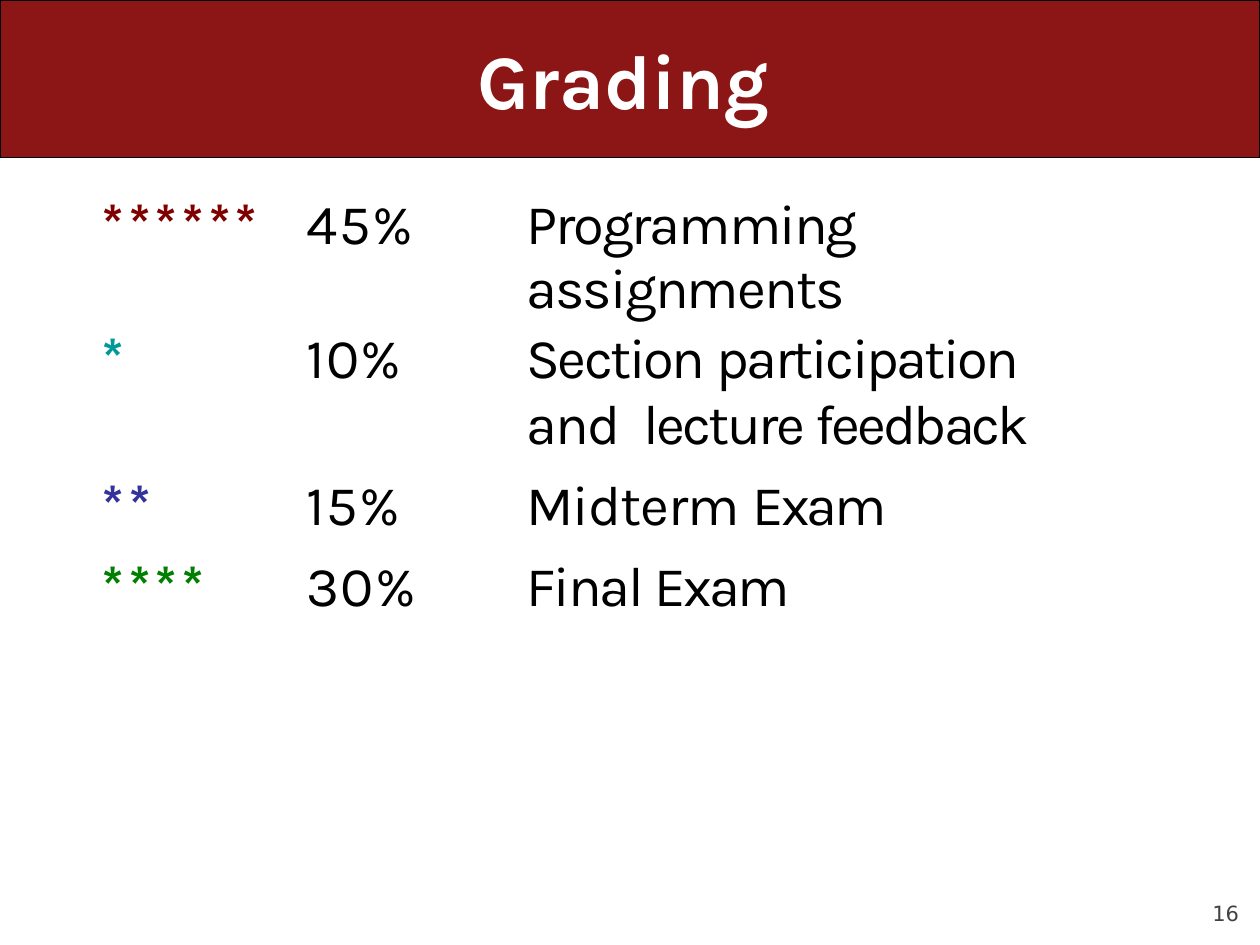
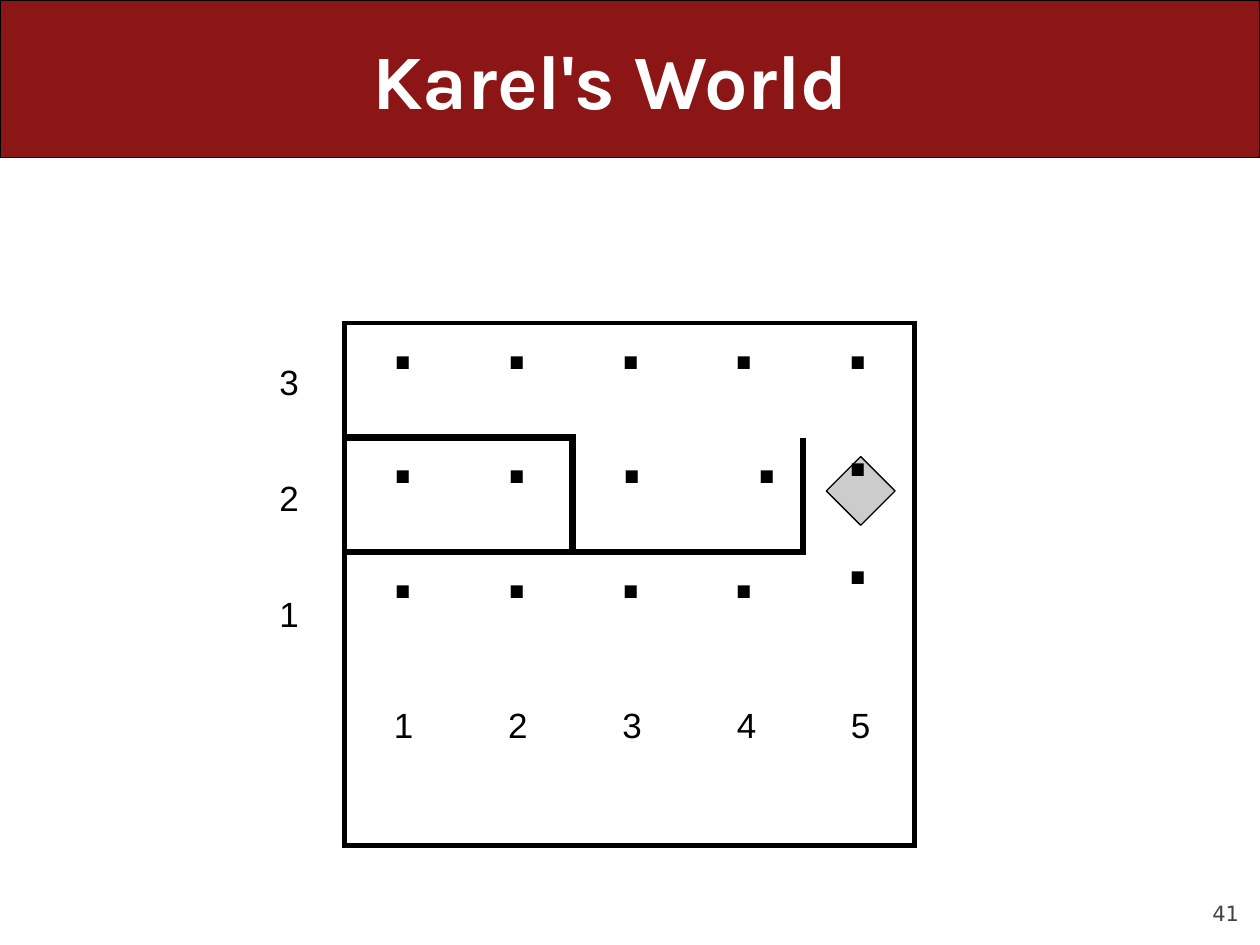
"""Build the grading slide and the Karel's World slide."""
from lxml import etree
from pptx import Presentation
from pptx.dml.color import RGBColor
from pptx.enum.shapes import MSO_SHAPE
from pptx.enum.text import MSO_ANCHOR, MSO_AUTO_SIZE, PP_ALIGN
from pptx.oxml.ns import qn
from pptx.util import Pt

RECT, GEM = MSO_SHAPE.RECTANGLE, MSO_SHAPE.DIAMOND
TOP, FIXED = MSO_ANCHOR.TOP, MSO_AUTO_SIZE.NONE
LEFT, MID = PP_ALIGN.LEFT, PP_ALIGN.CENTER
RED = RGBColor(0x8C, 0x15, 0x15)
WHITE = RGBColor(0xFF, 0xFF, 0xFF)
BLACK = RGBColor(0, 0, 0)
DARK = RGBColor(0x42, 0x42, 0x42)
SILVER = RGBColor(0xCC, 0xCC, 0xCC)
MAROON = RGBColor(0x80, 0, 0)
TEAL = RGBColor(0, 0x99, 0x99)
NAVY = RGBColor(0x33, 0x33, 0x99)
GREEN = RGBColor(0, 0x80, 0)

HEAD = {"name": "Karla", "size": Pt(44), "bold": True}
BODY = {"name": "Karla", "size": Pt(32), "bold": False}
STAR = {**BODY, "bold": True}
LABEL = {"name": "Arial", "size": Pt(20)}
DOT = {"name": "Arial", "size": Pt(48.5), "bold": True}
PAGE = {"name": "DejaVu Sans", "size": Pt(12)}
FRAME = {"margin_left": Pt(1.2), "margin_right": 0, "margin_top": Pt(1),
         "margin_bottom": 0, "vertical_anchor": TOP, "auto_size": FIXED,
         "word_wrap": False}
PLAIN = "{2D5ABB26-0587-4C30-8999-92F81FD0307C}"


def write(para, text, look, tint=BLACK, gap=0):
    """Add a run with its font, colour and letter spacing."""
    run = para.add_run()
    run.text = text
    for key, value in look.items():
        setattr(run.font, key, value)
    run.font.color.rgb = tint
    if gap:
        run._r.get_or_add_rPr().set("spc", str(round(gap * 100)))


def label(slide, spot, lines, look, tint=BLACK, lead=0):
    """Add a text box with one paragraph for each line."""
    frame = slide.shapes.add_textbox(*map(Pt, spot)).text_frame
    for key, value in FRAME.items():
        setattr(frame, key, value)
    for i, line in enumerate(lines):
        para = frame.add_paragraph() if i else frame.paragraphs[0]
        if i:
            para.space_before = Pt(lead)
        write(para, line, look, tint)


deck = Presentation()
deck.slide_width, deck.slide_height = Pt(720), Pt(540)
layout = deck.slide_layouts[5]

slides = []
for text, left, width, page in (("Grading", 271.5, 177, "16"),
                                ("Karel's World", 211.5, 297.5, "41")):
    slide = deck.slides.add_slide(layout)
    slides.append(slide)
    title = slide.shapes.title
    title.left, title.top = Pt(left), Pt(17.6)
    title.width, title.height = Pt(width), Pt(54.5)
    for key, value in FRAME.items():
        setattr(title.text_frame, key, value)
    para = title.text_frame.paragraphs[0]
    para.alignment = LEFT
    write(para, text, HEAD, WHITE, -0.1)
    label(slide, (691.6, 513.4, 19, 16.5), [page], PAGE, DARK)
grading, world = slides

TILES = [(198 + 65.3 * c, 185.8 + 65.4 * r, 65.3, 65.4)
         for c in range(5) for r in range(2)]
SHAPES = [(grading, RECT, (0, 0, 720, 90), RED, True)]
SHAPES += [(world, RECT, tile, WHITE, False) for tile in TILES]
SHAPES += [(world, GEM, (472.2, 260.9, 39.3, 39.3), SILVER, True)]
for slide, kind, spot, tint, edged in SHAPES:
    shape = slide.shapes.add_shape(kind, *map(Pt, spot))
    shape.shadow.inherit = False
    shape.fill.solid()
    shape.fill.fore_color.rgb = tint
    if edged:
        shape.line.color.rgb = BLACK
        shape.line.width = Pt(0.75)
    else:
        shape.line.fill.background()
    if slide is grading:
        shape._element.nvSpPr.cNvPr.set("id", "99")
        layout.shapes._spTree.insert(2, shape._element)

ROWS = (
    (73.6, 6, MAROON, "45%", (("Programming ", -1.2), ("assignments", -1.1))),
    (84.2, 1, TEAL, "10%", (("Section ", -1.4), ("participation ", -1.45),
                            ("and  ", -1.1), ("lecture ", -1.5),
                            ("feedback", -1.7))),
    (46, 2, NAVY, "15%", (("Midterm ", -0.6), ("Exam", -1.7))),
    (42.5, 4, GREEN, "30%", (("Final ", -1.3), ("Exam", -1.6))),
)
COLS = ((108.7, 2.8, 0), (101.5, 11, 0), (381.6, 35.3, 40))
marks = grading.shapes.add_table(4, 3, Pt(55.4), Pt(110.9), Pt(591.8),
                                 Pt(246.3)).table

WIDE = (65.2, 65.2, 65.2, 66.6, 63.6)
HIGH = (65.5, 65.3, 167.8)
grid = world.shapes.add_table(3, 5, Pt(196.7), Pt(184.6), Pt(sum(WIDE)),
                              Pt(sum(HIGH))).table

for table, wide, high in ((marks, [col[0] for col in COLS], [row[0] for row in ROWS]),
                          (grid, WIDE, HIGH)):
    table._tbl.tblPr.find(qn("a:tableStyleId")).text = PLAIN
    table.first_row = table.horz_banding = False
    for col, size in zip(table.columns, wide):
        col.width = Pt(size)
    for row, size in zip(table.rows, high):
        row.height = Pt(size)
    for cell in table.iter_cells():
        cell.fill.background()
        for side in ("left", "right", "top", "bottom"):
            setattr(cell, "margin_" + side, 0)

for r, (high, count, tint, share, task) in enumerate(ROWS):
    texts = ((STAR, tint, (("*" * count, 2.1 if count > 1 else 0),)),
             (BODY, BLACK, ((share, 0.8),)), (BODY, BLACK, task))
    for c, (look, shade, parts) in enumerate(texts):
        cell = marks.cell(r, c)
        cell.margin_left, cell.margin_right = Pt(COLS[c][1]), Pt(COLS[c][2])
        para = cell.text_frame.paragraphs[0]
        if r:
            cell.margin_top = Pt(2.4)
        else:
            para.line_spacing = Pt(36.8)
        for text, gap in parts:
            write(para, text, look, shade, gap)

WALLS = {(0, 0): "B", (0, 1): "B", (1, 0): "TB", (1, 1): "RTB",
         (1, 2): "LRB", (1, 3): "RB", (1, 4): "L",
         (2, 0): "T", (2, 1): "T", (2, 2): "T", (2, 3): "T"}
for r in range(3):
    for c in range(5):
        edges = {"L": c == 0, "R": c == 4, "T": r == 0,
                 "B": r == 2 or (r, c) == (0, 4)}
        props = grid.cell(r, c)._tc.get_or_add_tcPr()
        spot = 0
        for side, edge in edges.items():
            wall = side in WALLS.get((r, c), "")
            if edge or wall:
                line = etree.Element(qn("a:ln" + side), w=str(Pt(4.25 if wall else 3)))
                fill = etree.SubElement(line, qn("a:solidFill"))
                etree.SubElement(fill, qn("a:srgbClr"), val=str(BLACK))
                props.insert(spot, line)
                spot += 1

grid.cell(0, 4).merge(grid.cell(2, 4))
grid.cell(1, 2).merge(grid.cell(1, 3))
for r in range(3):
    for c in range(5):
        cell = grid.cell(r, c)
        if cell.is_spanned:
            continue
        para = cell.text_frame.paragraphs[0]
        para.line_spacing = Pt(36.8)
        if (r, c) == (1, 2):
            props = para._p.get_or_add_pPr()
            props.set("marL", str(Pt(27.4)))
            tabs = etree.SubElement(props, qn("a:tabLst"))
            etree.SubElement(tabs, qn("a:tab"), pos=str(Pt(92.9)), algn="l")
            write(para, ".\t.", DOT, gap=0.1)
        else:
            if c < 3:
                cell.margin_left = Pt(2.6)
            para.alignment = MID
            write(para, ".", DOT)
        if c == 4:
            for _ in range(2):
                para = cell.text_frame.add_paragraph()
                para.alignment = MID
                para.space_before = Pt(7.2)
                write(para, ".", DOT)

label(world, (158.4, 205.2, 13, 157), "321", LABEL, lead=42.1)
for i in range(5):
    label(world, (223.9 + 65.3 * i, 401, 13, 26), str(i + 1), LABEL)

deck.save("out.pptx")
